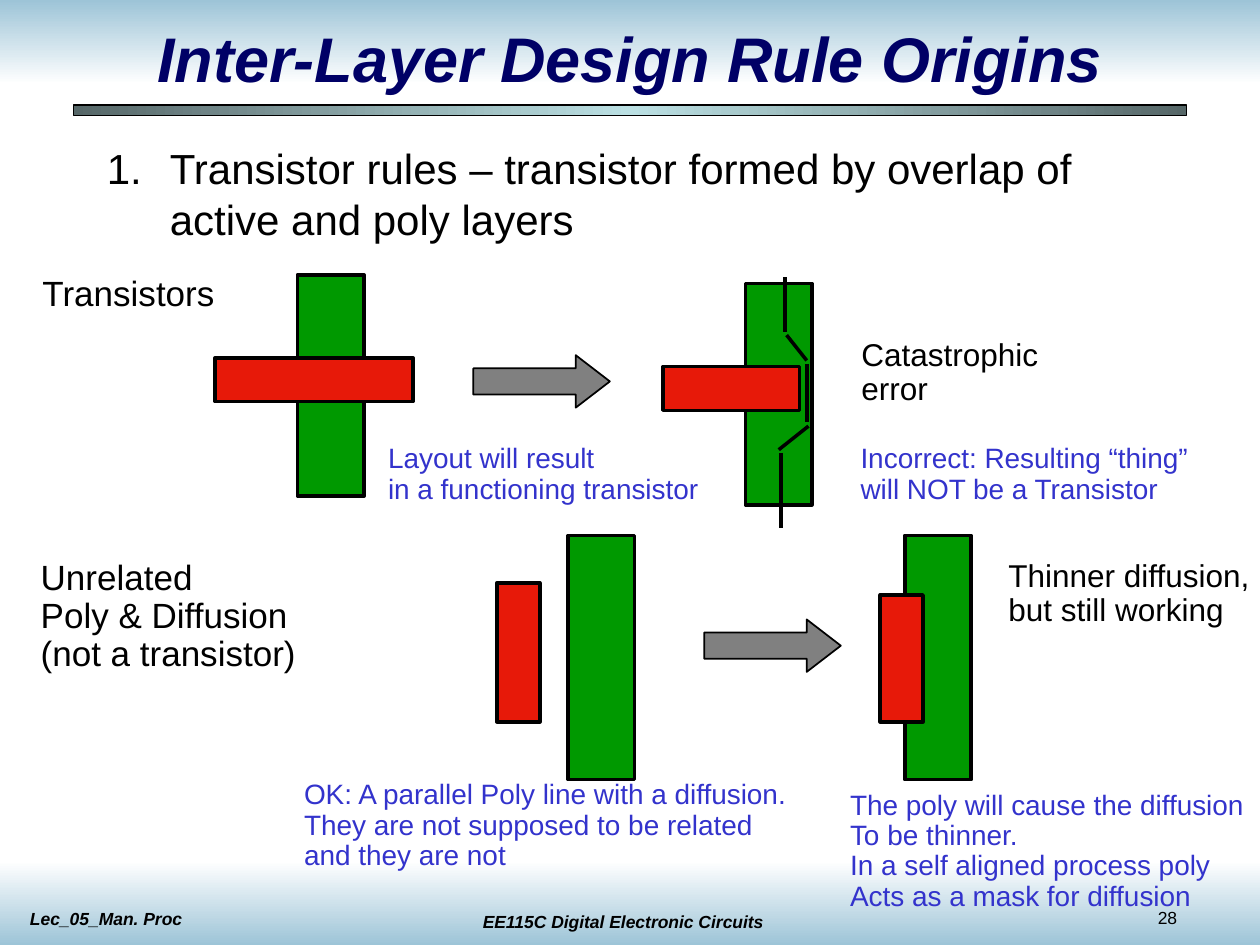
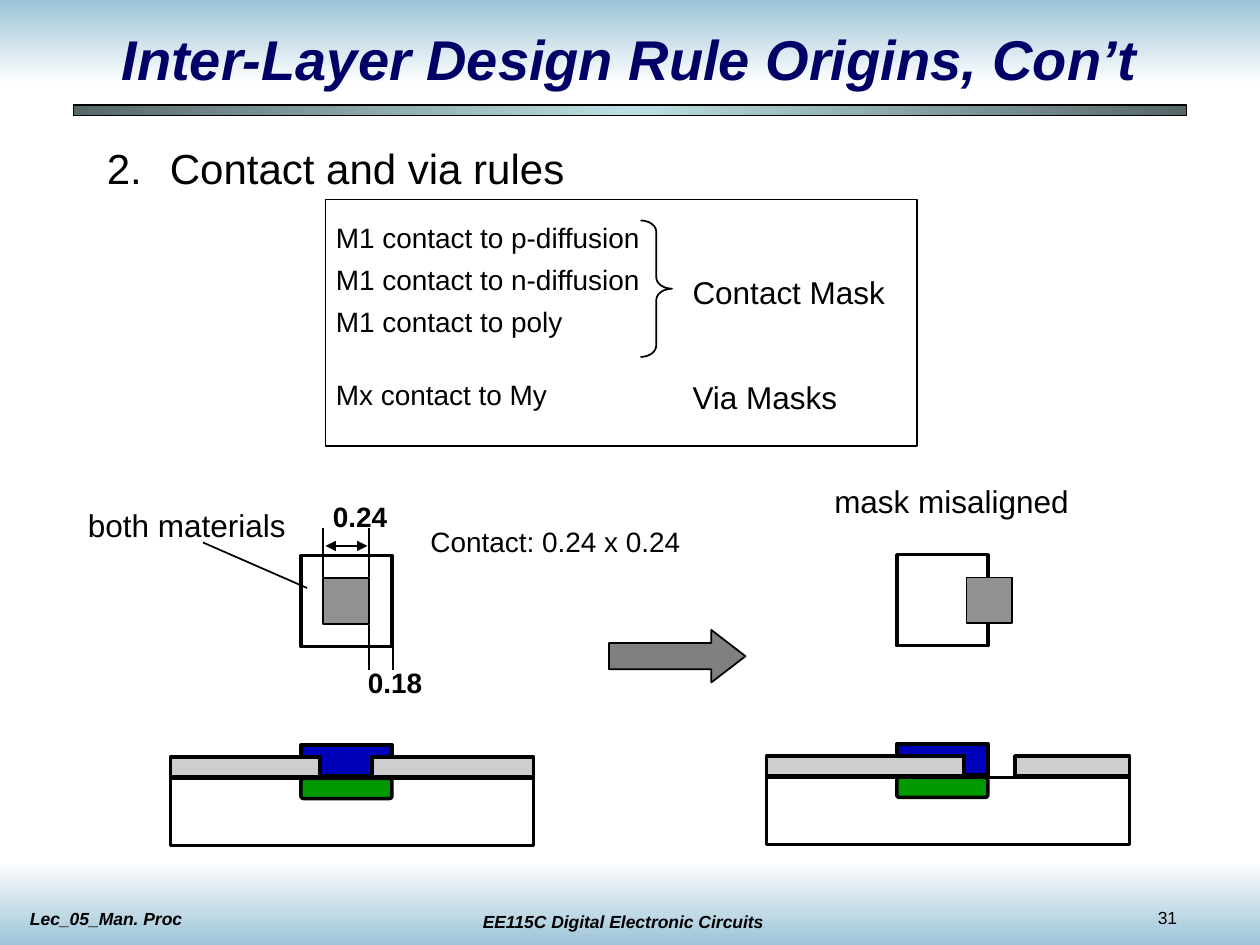
from lxml import etree
from pptx import Presentation
from pptx import util as u
from pptx.dml.color import RGBColor
from pptx.enum import shapes, text
from pptx.oxml.ns import qn

Pt = u.Pt
AUTO = shapes.MSO_SHAPE
COLORS = {
    "black": "000000", "navy": "000066", "note": "3333CC", "sky": "9DC4D7",
    "white": "FFFFFF", "bar edge": "566768", "bar middle": "BBE0E3",
    "diffusion": "009900", "poly": "E71909", "arrow": "808080",
    "cut": "919191", "oxide": "CECECE", "metal": "0000BA",
}
SLIDE_SIZE = (720, 540)
LABEL_FRAME = {"margin_left": Pt(5.76), "margin_right": 0,
               "margin_top": Pt(2.2), "margin_bottom": Pt(2.2),
               "word_wrap": True}
WIDE_FRAME = {"margin_left": Pt(7.2), "margin_right": Pt(7.2),
              "margin_top": Pt(3.6), "margin_bottom": Pt(3.6),
              "word_wrap": True}
CENTER = {"alignment": text.PP_ALIGN.CENTER}
FOOTER_FONT = {"size": Pt(10), "bold": True, "italic": True}
DIFFUSION_WIDTH = 38
POLY_WIDTH = 24.5
CONTACT_WIDTH = 52
CUT_WIDTH = 26


def rgb(color):
    return RGBColor.from_string(COLORS[color])


def set_attributes(target, values):
    for name, value in values.items():
        setattr(target, name, value)


def add_text(slide, box, lines, font, color="black", paragraph_format=None,
             frame_format=WIDE_FRAME):
    """Add a text box with one paragraph for each line; return its frame."""
    frame = slide.shapes.add_textbox(*map(Pt, box)).text_frame
    set_attributes(frame, frame_format)
    for index, line in enumerate(lines.split("\n")):
        paragraph = frame.paragraphs[0] if index == 0 else frame.add_paragraph()
        set_attributes(paragraph, paragraph_format or {})
        run = paragraph.add_run()
        run.text = line
        set_attributes(run.font, {"name": "Arial", **font})
        run.font.color.rgb = rgb(color)
    return frame


def add_label(slide, box, lines, size=16, color="black", spacing=0.9,
              bold=False):
    add_text(slide, box, lines, {"size": Pt(size), "bold": bold}, color,
             {"line_spacing": spacing}, LABEL_FRAME)


def add_block(slide, box, fill=None, line_width=2, kind=AUTO.RECTANGLE,
              adjustments=()):
    """Add a preset shape; a line width of 0 leaves out the outline."""
    shape = slide.shapes.add_shape(kind, *map(Pt, box))
    shape.shadow.inherit = False
    for index, value in enumerate(adjustments):
        shape.adjustments[index] = value
    if fill:
        shape.fill.solid()
        shape.fill.fore_color.rgb = rgb(fill)
    else:
        shape.fill.background()
    if line_width:
        shape.line.color.rgb = rgb("black")
        shape.line.width = Pt(line_width)
    else:
        shape.line.fill.background()
    return shape


def add_gradient_block(slide, box, colors, angle, line_width=0):
    """Spread the colors evenly; the angle runs counter-clockwise."""
    shape = add_block(slide, box, line_width=line_width)
    shape.fill.gradient()
    shape.fill.gradient_angle = angle
    stops = shape._element.spPr.find(".//" + qn("a:gsLst"))
    for stop in list(stops):
        stops.remove(stop)
    for index, color in enumerate(colors):
        position = 100000 * index // (len(colors) - 1)
        stop = etree.SubElement(stops, qn("a:gs"), pos=str(position))
        etree.SubElement(stop, qn("a:srgbClr"), val=COLORS[color])


def add_line(slide, start, end, width=1, double_arrow=False):
    line = slide.shapes.add_connector(
        shapes.MSO_CONNECTOR.STRAIGHT, *map(Pt, (*start, *end)))
    line.line.color.rgb = rgb("black")
    line.line.width = Pt(width)
    if double_arrow:
        outline = line.line._get_or_add_ln()
        for end_name in ("a:headEnd", "a:tailEnd"):
            etree.SubElement(outline, qn(end_name), type="triangle")
    etree.SubElement(line._element.spPr, qn("a:effectLst"))


def add_step_arrow(slide, left, top):
    add_block(slide, (left, top, 78, 30), "arrow", 1, AUTO.RIGHT_ARROW,
              (0.5, 0.65))


def add_numbered_rule(slide, number, rule, height):
    frame = add_text(slide, (54, 78, 612, height), rule, {"size": Pt(24)})
    properties = frame.paragraphs[0]._p.get_or_add_pPr()
    properties.set("marL", str(Pt(36)))
    properties.set("indent", str(-Pt(36)))
    bullet_color = etree.SubElement(properties, qn("a:buClr"))
    etree.SubElement(bullet_color, qn("a:srgbClr"), val=COLORS["black"])
    etree.SubElement(properties, qn("a:buFont"), typeface="Arial")
    etree.SubElement(properties, qn("a:buAutoNum"), type="arabicPeriod",
                     startAt=str(number))


def add_base_slide(presentation, title, title_size, page):
    """Add a slide with the bands, footers, title and title bar."""
    slide = presentation.slides.add_slide(presentation.slide_layouts[6])
    add_gradient_block(slide, (0, 0, 720, 48), ("sky", "white"), 270)
    add_gradient_block(slide, (0, 492, 720, 48), ("white", "sky"), 270)
    add_text(slide, (254, 517, 204, 19.4), "EE115C Digital Electronic Circuits",
             FOOTER_FONT, paragraph_format=CENTER)
    add_text(slide, (654.5, 515, 60, 19.4), page, {"size": Pt(10)})
    add_text(slide, (10, 515.3, 204, 19.4), "Lec_05_Man. Proc", FOOTER_FONT)
    add_gradient_block(slide, (42, 60, 636, 6),
                       ("bar edge", "bar middle", "bar edge"), 180, 0.75)
    add_text(slide, (54, 12, 612, 42), title,
             {"size": Pt(title_size), "bold": True, "italic": True}, "navy",
             CENTER,
             {**WIDE_FRAME, "vertical_anchor": text.MSO_ANCHOR.MIDDLE})
    return slide


def add_crossing(slide, left, top, poly_width):
    """Draw a vertical diffusion crossed by a poly bar starting at its left."""
    add_block(slide, (left, top, DIFFUSION_WIDTH, 126.5), "diffusion")
    add_block(slide, (left - 47, top + 47.5, poly_width, 25), "poly")


def add_parallel_pair(slide, diffusion_left, poly_left, poly_top):
    add_block(slide, (diffusion_left, 306, DIFFUSION_WIDTH, 139.5), "diffusion")
    add_block(slide, (poly_left, poly_top, POLY_WIDTH, 412.5 - poly_top), "poly")


def add_contact_top(slide, left, top, cut_offset):
    add_block(slide, (left, top, CONTACT_WIDTH, CONTACT_WIDTH))
    add_block(slide, (left + cut_offset, top + 13, CUT_WIDTH, CUT_WIDTH),
              "cut", 1)


def add_contact_section(slide, left, top, gap_start, gap_end):
    """Draw metal over an oxide with a gap, on a substrate with diffusion."""
    width = 207.5
    contact_left = left + 74.5
    surface = top + 19.2
    add_block(slide, (contact_left, top, CONTACT_WIDTH, 18), "metal")
    add_block(slide, (left, surface, width, 38.3))
    for start, end in ((0, gap_start), (gap_end, width)):
        add_block(slide, (left + start, top + 7, end - start, 11.5), "oxide")
    add_block(slide, (contact_left, surface, CONTACT_WIDTH, 11.5), "diffusion",
              kind=AUTO.ROUNDED_RECTANGLE, adjustments=(0.125,))


def add_transistor_slide(presentation):
    slide = add_base_slide(presentation, "Inter-Layer Design Rule Origins", 36,
                           "28")
    add_numbered_rule(slide, 1, "Transistor rules – transistor formed by "
                      "overlap of active and poly layers", 124)
    add_crossing(slide, 170, 157, 113)
    add_crossing(slide, 426, 162, 78)
    leakage_segments = (
        ((448.5, 158.5), (448.5, 189.5)), ((449.5, 191.5), (461, 206)),
        ((461, 208), (461, 241)), ((462, 243.5), (445, 257)),
        ((446.2, 259), (446.2, 301.5)))
    for start, end in leakage_segments:
        add_line(slide, start, end, 2)
    add_parallel_pair(slide, 324.5, 284, 333)
    add_parallel_pair(slide, 517, 503, 340)
    add_step_arrow(slide, 270.5, 203)
    add_step_arrow(slide, 402.5, 354)

    add_label(slide, (18.5, 155.5, 112, 26), "Transistors", 20)
    add_label(slide, (486.5, 191.5, 120, 43), "Catastrophic error", 18)
    add_label(slide, (17.5, 318, 165, 69),
              "Unrelated\nPoly & Diffusion\n(not a transistor)", 20)
    add_label(slide, (570.5, 318, 149.5, 43),
              "Thinner diffusion,\nbut still working", 18)
    notes = (
        ((216, 252, 194, 39), "Layout will result\nin a functioning transistor"),
        ((486, 252, 208, 39),
         "Incorrect: Resulting “thing”\nwill NOT be a Transistor"),
        ((168, 444, 294, 56), "OK: A parallel Poly line with a diffusion.\n"
         "They are not supposed to be related\nand they are not"),
        ((480, 450, 240, 73.5), "The poly will cause the diffusion\n"
         "To be thinner.\nIn a self aligned process poly\n"
         "Acts as a mask for diffusion"))
    for box, lines in notes:
        add_label(slide, box, lines, color="note")


def add_contact_slide(presentation):
    slide = add_base_slide(presentation,
                           "Inter-Layer Design Rule Origins, Con’t", 32, "31")
    add_numbered_rule(slide, 2, "Contact and via rules", 67)

    add_block(slide, (186, 114, 338, 141), line_width=1)
    for index, layer in enumerate(("p-diffusion", "n-diffusion", "poly")):
        add_label(slide, (186.2, 126 + 24 * index, 195, 21.6),
                  f"M1 contact to {layer}")
    add_label(slide, (186.2, 216, 145, 21.6), "Mx contact to My")
    add_block(slide, (366, 126, 18, 78), line_width=1, kind=AUTO.RIGHT_BRACE,
              adjustments=(0.36, 0.5))
    add_label(slide, (390, 156, 130, 24), "Contact Mask", 18)
    add_label(slide, (390, 216, 130, 24), "Via Masks", 18)

    add_contact_top(slide, 172, 317.5, 12.7)
    add_contact_top(slide, 512.5, 317, 39.8)
    for x, start, end in ((184.5, 330, 302), (211, 330, 302),
                          (211, 357, 383), (224.5, 364, 383)):
        add_line(slide, (x, start), (x, end))
    add_line(slide, (186, 312), (210, 312), double_arrow=True)
    add_line(slide, (175.5, 336), (116, 310))
    add_label(slide, (184.5, 284.5, 50, 23), "0.24", spacing=0.96, bold=True)
    add_label(slide, (204.5, 379.5, 50, 23), "0.18", spacing=0.96, bold=True)
    add_label(slide, (44.5, 289.5, 135, 24), "both materials", 18)
    add_label(slide, (240.2, 300, 170, 21.6), "Contact: 0.24 x 0.24")
    add_label(slide, (471, 274.5, 160, 25), "mask misaligned", 18, spacing=0.96)
    add_step_arrow(slide, 348, 360)

    add_contact_section(slide, 97.5, 425.6, 85.5, 115)
    add_contact_section(slide, 438, 425, 113, 142)


def main():
    presentation = Presentation()
    presentation.slide_width, presentation.slide_height = map(Pt, SLIDE_SIZE)
    add_transistor_slide(presentation)
    add_contact_slide(presentation)
    presentation.save("out.pptx")


if __name__ == "__main__":
    main()
